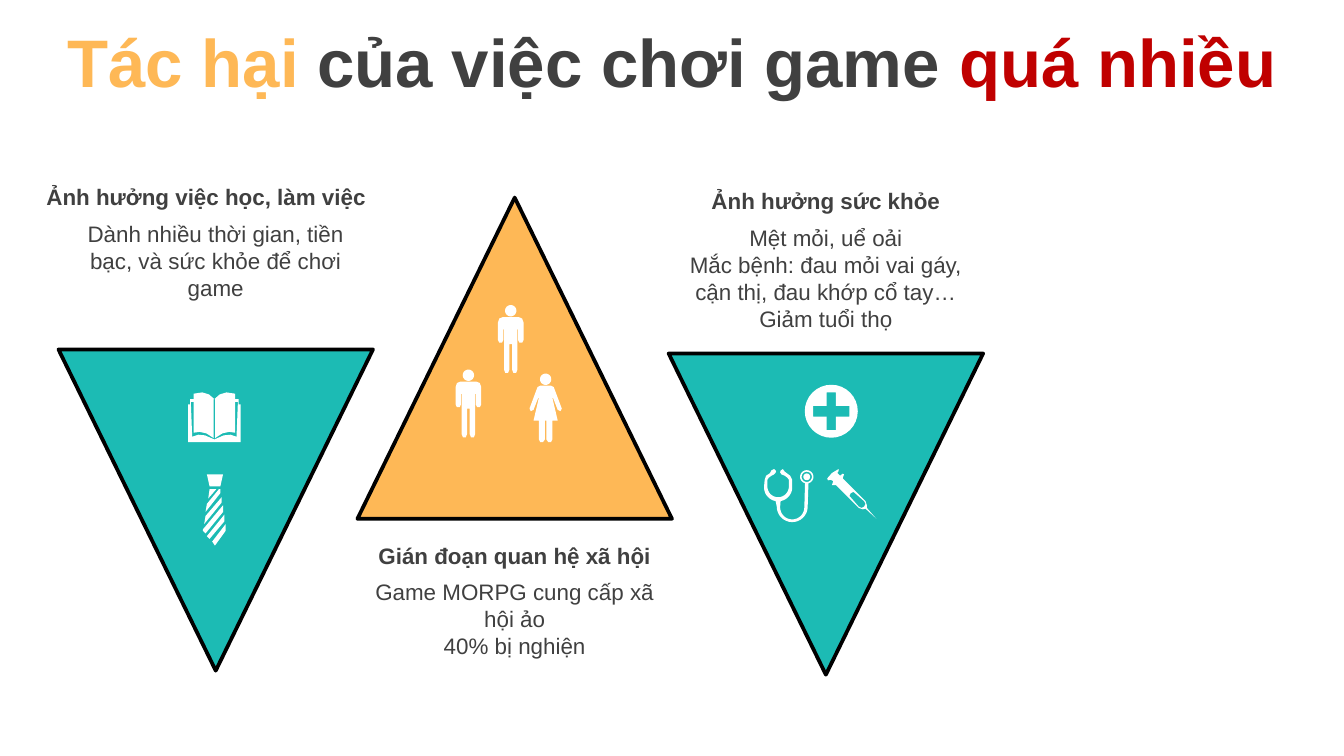
from math import cos, radians, sin

from pptx import Presentation
from pptx.dml.color import RGBColor
from pptx.enum.shapes import MSO_SHAPE
from pptx.enum.text import MSO_ANCHOR, PP_ALIGN
from pptx.util import Inches, Pt

ORANGE = RGBColor(0xFE, 0xB8, 0x56)
TEAL = RGBColor(0x1C, 0xBB, 0xB4)
RED = RGBColor(0xC0, 0x00, 0x00)
GRAY = RGBColor(0x40, 0x40, 0x40)
BLACK = RGBColor(0x00, 0x00, 0x00)
WHITE = RGBColor(0xFF, 0xFF, 0xFF)

# A 16:9 slide; the grid has 100 columns across it, and square cells
SLIDE_W = Inches(10)
SLIDE_H = SLIDE_W * 9 // 16
CELL = SLIDE_W / 100
TRI_W, TRI_H = 23.4, 23.9
HEAD_H = 3

# left, triangle top, points down, colour, heading (left, top, width),
# body (top, height), heading text, body lines
TOPICS = [
    (26.6, 14.7, False, ORANGE, (26.6, 39.85, TRI_W), (42.55, 7.1),
     "Gián đoạn quan hệ xã hội",
     ["Game MORPG cung cấp xã hội ảo", "40% bị nghiện"]),
    (49.75, 26.3, True, TEAL, (49.75, 13.45, TRI_W), (16.2, 9.1),
     "Ảnh hưởng sức khỏe",
     ["Mệt mỏi, uể oải",
      "Mắc bệnh: đau mỏi vai gáy, cận thị, đau khớp cổ tay…",
      "Giảm tuổi thọ"]),
    (4.35, 26, True, TEAL, (1.2, 13.15, 28.3), (15.9, 7.1),
     "Ảnh hưởng việc học, làm việc",
     ["Dành nhiều thời gian, tiền bạc, và sức khỏe để chơi game"]),
]


def cells(n):
    return round(n * CELL)


# Outline helpers: points are in tenths of a grid cell
def arc(cx, cy, r, start, end, steps=16):
    angles = [radians(start + (end - start) * i / steps) for i in range(steps + 1)]
    return [(cx + r * cos(a), cy + r * sin(a)) for a in angles]


def circle(cx, cy, r):
    return arc(cx, cy, r, 0, 360, 32)


def mirror(half):
    return half + [(-x, y) for x, y in reversed(half)]


# Icon outlines
MAN = [
    mirror([(0, 9), (6, 9), (8.5, 10), (9.5, 13), (9.5, 26), (8.5, 28), (6.5, 28),
            (5.5, 26), (5.5, 18), (5, 18), (5, 48), (4, 50.5), (2, 50.5), (1, 48), (1, 29)]),
    circle(0, 4.2, 4.2),
]
WOMAN = [
    mirror([(0, 9), (4, 9), (6, 10), (12, 26), (11, 28), (9, 27), (5.5, 18), (5, 18),
            (9, 35), (5, 35), (5, 49), (4, 51), (2, 51), (0.5, 49), (0.5, 35)]),
    circle(0, 4.2, 4.2),
]
MEDICAL_CROSS = [
    circle(0, 0, 19.7),
    mirror([(0, -14), (3.5, -14), (3.5, -4), (13.5, -4), (13.5, 4), (3.5, 4), (3.5, 14)]),
]
BOOK = [
    mirror([(0, 5), (4, 1.5), (9, 0), (15.5, 1), (15.5, 5), (18, 5), (18, 9),
            (19.5, 9), (19.5, 37)]),
    mirror([(0, 5), (0.5, 5), (0.5, 34), (6, 30.5), (11, 29.4), (15.5, 30), (15.5, 7),
            (17.5, 7), (16.5, 33), (12, 31.5), (7, 32), (0, 35)]),
]
TIE = [
    [(3, 0), (15, 0), (13, 9), (5, 9)],
    [(5, 11), (10, 11), (4, 18)],
    [(12, 11), (13, 11), (13, 14), (2, 28), (3, 22)],
    [(14, 17), (14, 21), (1, 37), (2, 31)],
    [(15, 23), (15, 28), (2, 44), (0, 42), (0, 41)],
    [(16, 30), (16, 35), (5, 48), (3, 46)],
    [(17, 37), (17, 42), (9, 53), (7, 50)],
]
SYRINGE = [
    [(9, 0), (9, 1.5), (8, 3), (10, 5), (12, 3.5), (13, 4), (12, 7), (29, 24), (30, 27),
     (30, 29), (37, 37), (36, 36), (29, 29.5), (27, 30), (24, 29), (7, 12), (4, 12),
     (5, 9), (3, 8), (1, 8.5), (0.5, 7), (4, 3)],
    [(20, 17), (18, 18), (17, 20), (24, 28), (26, 29), (28, 28), (29, 26), (28, 24)],
]
STETHOSCOPE = [
    [(7, 0), (8.5, 1.5), (8, 3), (7, 4), (5, 5), (3, 6.5), (2, 8)]
    + arc(10, 13, 8, 180, 0)
    + [(18, 8), (17, 6.5), (15, 5), (12.5, 4), (11.5, 2.5), (12, 1), (13.5, 0),
       (15, 2), (19, 5), (20.5, 8)]
    + arc(10, 13.5, 10.5, 0, 80)
    + arc(20.5, 28.5, 9, 180, 0)
    + arc(31.3, 5.8, 5, 105, 435)
    + arc(20.5, 28, 11.5, 0, 180)
    + arc(10, 13.5, 10.5, 100, 180)
    + [(0, 8), (1, 5), (4, 3), (5, 1)],
    circle(31.3, 5.8, 3.8),
    circle(31.3, 5.8, 2.5),
]

# Grid position of each icon's zero point
ICONS = [
    (MAN, 34.85, 27.5), (WOMAN, 40.6, 27.8), (MAN, 38, 22.7),
    (MEDICAL_CROSS, 61.85, 30.6), (SYRINGE, 61.5, 34.9), (STETHOSCOPE, 56.9, 34.9),
    (BOOK, 15.95, 29.2), (TIE, 15.1, 35.3),
]


def add_text(s, x, y, w, h, paragraphs, size=12, bold=False, anchor=MSO_ANCHOR.TOP):
    """Each paragraph is a list of (text, colour) runs."""
    tf = s.shapes.add_textbox(cells(x), cells(y), cells(w), cells(h)).text_frame
    tf.word_wrap = True
    tf.vertical_anchor = anchor
    for i, runs in enumerate(paragraphs):
        p = tf.add_paragraph() if i else tf.paragraphs[0]
        p.alignment = PP_ALIGN.CENTER
        p.font.name, p.font.size, p.font.bold = "Arial", Pt(size), bold
        for text, color in runs:
            r = p.add_run()
            r.text = text
            r.font.color.rgb = color


def add_triangle(s, x, y, down, color):
    sp = s.shapes.add_shape(MSO_SHAPE.ISOSCELES_TRIANGLE,
                            cells(x), cells(y), cells(TRI_W), cells(TRI_H))
    sp.rotation = 180 if down else 0
    sp.shadow.inherit = False
    sp.fill.solid()
    sp.fill.fore_color.rgb = color
    sp.line.color.rgb = BLACK
    sp.line.width = Pt(2)


def add_icon(s, outlines, x, y):
    # Local units are 100 times finer, because the builder rounds to whole ones
    fine = [[(px * 100, py * 100) for px, py in outline] for outline in outlines]
    fb = s.shapes.build_freeform(*fine[0][0], scale=CELL / 1000)
    for i, outline in enumerate(fine):
        if i:
            fb.move_to(*outline[0])
        fb.add_line_segments(outline[1:], close=True)
    sp = fb.convert_to_shape(cells(x), cells(y))
    sp.shadow.inherit = False
    sp.fill.solid()
    sp.fill.fore_color.rgb = WHITE
    sp.line.fill.background()


def add_topic(s, x, y, down, color, head_box, body_box, heading, body):
    add_triangle(s, x, y, down, color)
    body_y, body_h = body_box
    add_text(s, x, body_y, TRI_W, body_h, [[(line, GRAY)] for line in body])
    add_text(s, *head_box, HEAD_H, [[(heading, GRAY)]], bold=True)


def main():
    prs = Presentation()
    prs.slide_width, prs.slide_height = SLIDE_W, SLIDE_H
    s = prs.slides.add_slide(prs.slide_layouts[6])

    # Title
    title = [("Tác hại ", ORANGE), ("của việc chơi game ", GRAY), ("quá nhiều", RED)]
    add_text(s, 0, 0.25, 100, 8.5, [title], size=36, bold=True, anchor=MSO_ANCHOR.MIDDLE)

    # Triangles with their texts, then the icons on top
    for topic in TOPICS:
        add_topic(s, *topic)
    for icon in ICONS:
        add_icon(s, *icon)

    prs.save("out.pptx")


if __name__ == "__main__":
    main()
